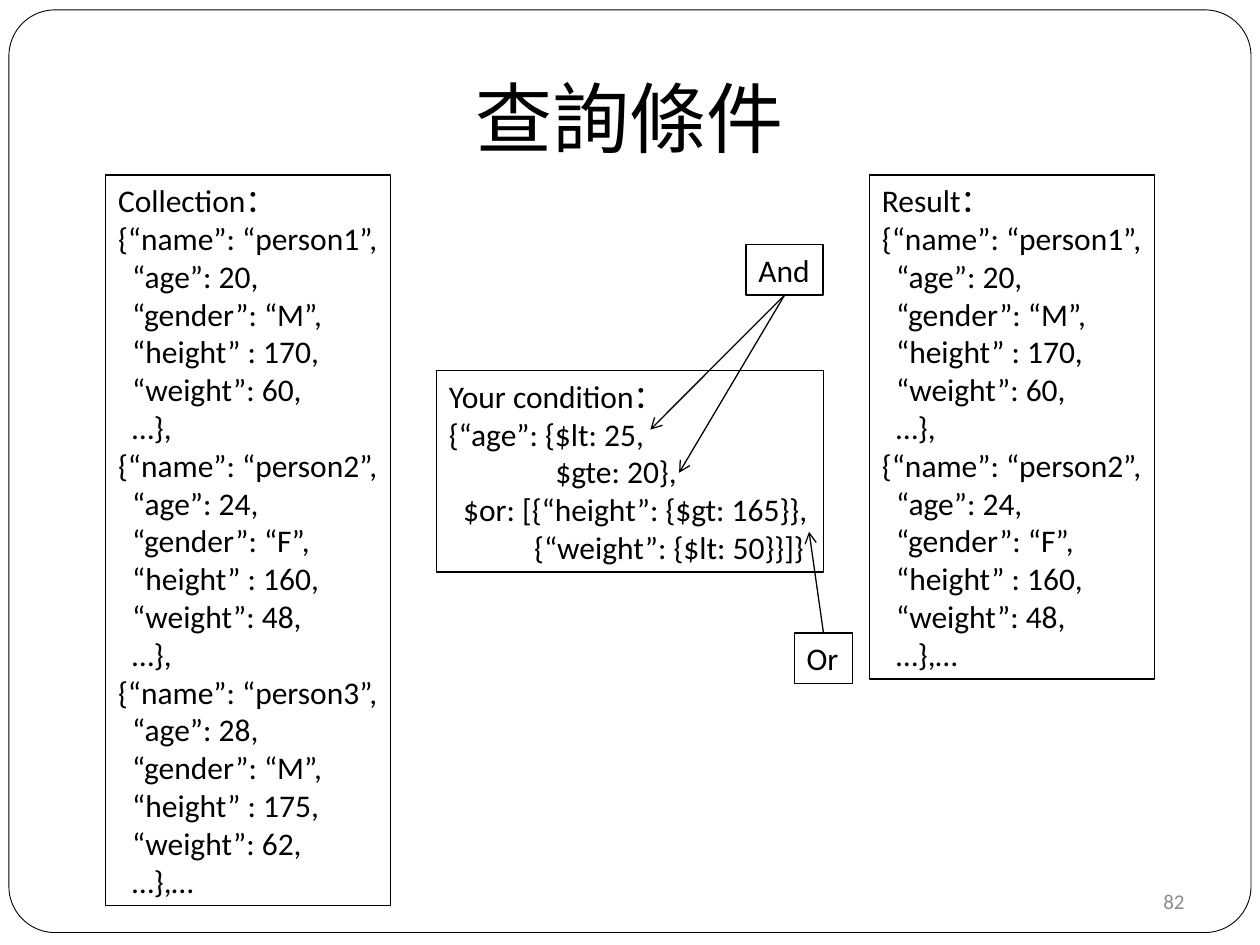
"""Build the query condition slide with its collection, condition and result."""
from lxml import etree
from pptx import Presentation
from pptx import util as u
from pptx.dml.color import RGBColor
from pptx.enum import shapes, text
from pptx.oxml import ns

BLACK = RGBColor(0, 0, 0)
WHITE = RGBColor(255, 255, 255)
GREY = RGBColor(0x8B, 0x8B, 0x8B)
LEFT, MID, RIGHT = text.PP_ALIGN.LEFT, text.PP_ALIGN.CENTER, text.PP_ALIGN.RIGHT


def add_text(words, place, size=18, color=BLACK, align=LEFT, wrap=True):
    box = slide.shapes.add_textbox(*map(u.Cm, place))
    frame = box.text_frame
    frame.word_wrap = wrap
    if not wrap:
        frame.auto_size = text.MSO_AUTO_SIZE.SHAPE_TO_FIT_TEXT
    frame.text = words
    for para in frame.paragraphs:
        para.alignment = align
        for run in para.runs:
            run.font.name = "Calibri"
            run.font.size = u.Pt(size)
            run.font.color.rgb = color
    return box


def set_line(item, width=0.75):
    item.line.color.rgb = BLACK
    item.line.width = u.Pt(width)


deck = Presentation()
deck.slide_width, deck.slide_height = u.Cm(25.4), u.Cm(19.05)
slide = deck.slides.add_slide(deck.slide_layouts[6])

border = slide.shapes.add_shape(
    shapes.MSO_SHAPE.ROUNDED_RECTANGLE, u.Cm(0.18), u.Cm(0.2), u.Cm(25.04), u.Cm(18.6))
border.adjustments[0] = 0.05
border.shadow.inherit = False
border.fill.solid()
border.fill.fore_color.rgb = WHITE
set_line(border, 0.5)

title = add_text("查詢條件", (1.27, 0.76, 22.86, 3.18), 44, align=MID)
number = add_text("82", (18.2, 17.65, 5.93, 1.02), 12, GREY, RIGHT)
for box in (title, number):
    box.text_frame.vertical_anchor = text.MSO_ANCHOR.MIDDLE

people = []
for index, (age, gender, height, weight) in enumerate(
        [(20, "M", 170, 60), (24, "F", 160, 48), (28, "M", 175, 62)], 1):
    people.append("\n".join([
        f"{{“name”: “person{index}”,",
        f"  “age”: {age},",
        f"  “gender”: “{gender}”,",
        f"  “height” : {height},",
        f"  “weight”: {weight},",
        "  …},"]))

query = "\n".join([
    "Your condition：",
    "{“age”: {$lt: 25,",
    "               $gte: 20},",
    "  $or: [{“height”: {$gt: 165}},",
    "            {“weight”: {$lt: 50}}]}"])

boxes = {}
for name, words, place, wrap in [
        ("all", "\n".join(["Collection："] + people) + "…", (2.13, 3.53, 5.74, 14.73), False),
        ("query", query, (8.8, 7.47, 7.8, 4.06), True),
        ("result", "\n".join(["Result："] + people[:2]) + "…", (17.53, 3.53, 5.74, 10.16), False),
        ("and", "And", (15.04, 4.93, 1.55, 1.02), False),
        ("or", "Or", (16.01, 12.76, 1.18, 1.02), False)]:
    boxes[name] = add_text(words, place, wrap=wrap)
    set_line(boxes[name])

for name, side, left, top in [
        ("and", 2, 13.11, 8.66), ("and", 2, 13.69, 9.53), ("or", 0, 16.31, 10.72)]:
    arrow = slide.shapes.add_connector(
        shapes.MSO_CONNECTOR.STRAIGHT, 0, 0, u.Cm(left), u.Cm(top))
    arrow.begin_connect(boxes[name], side)
    set_line(arrow)
    etree.SubElement(arrow.line._get_or_add_ln(), ns.qn("a:tailEnd"), type="arrow")
    etree.SubElement(arrow._element.spPr, ns.qn("a:effectLst"))

deck.save("out.pptx")
